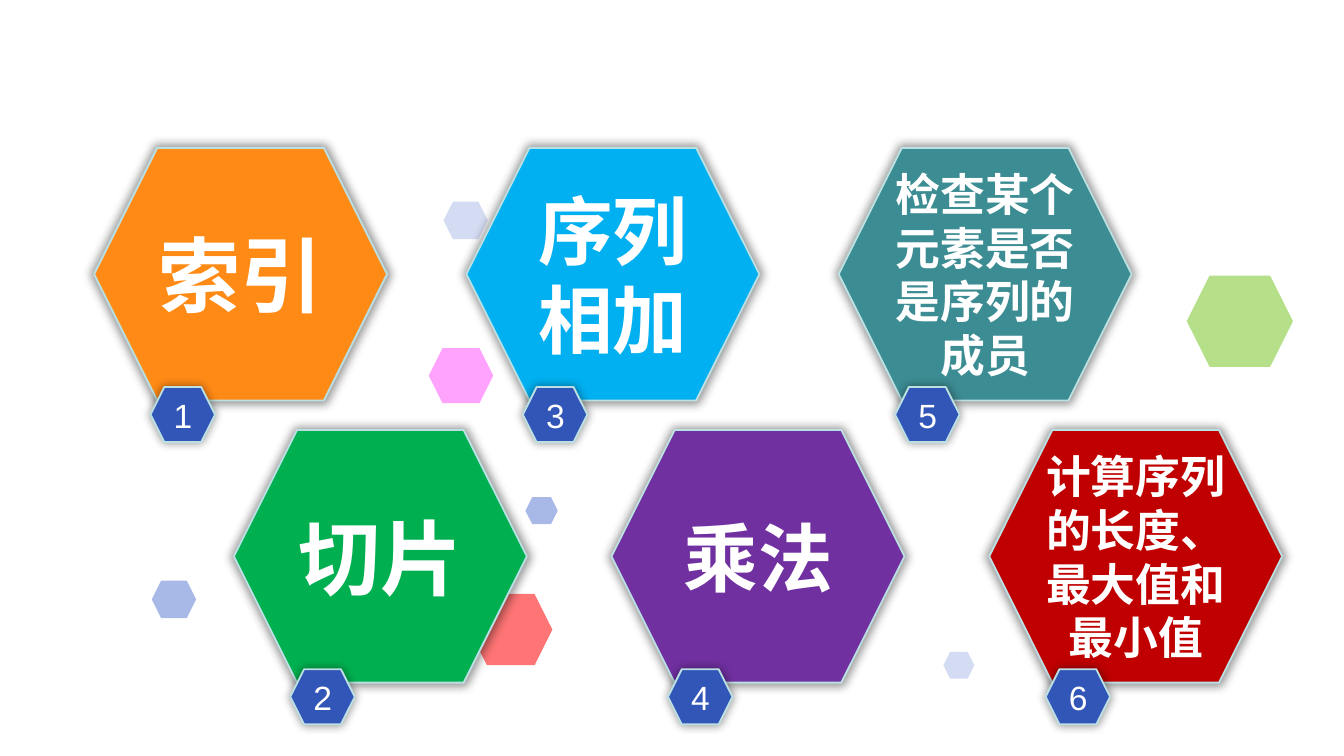
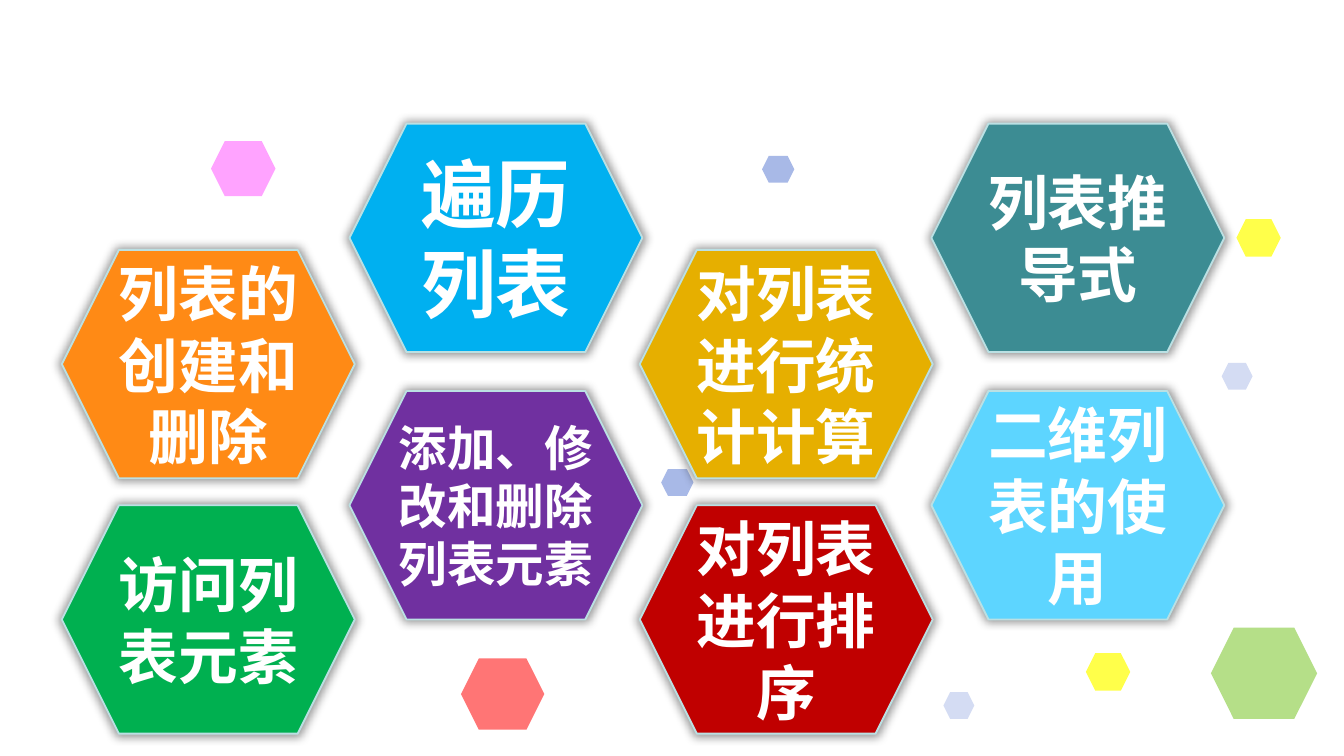
from dataclasses import dataclass
from typing import Optional

from lxml import etree
from pptx import Presentation
from pptx.dml.color import RGBColor
from pptx.enum.shapes import MSO_SHAPE
from pptx.enum.text import MSO_ANCHOR, PP_ALIGN
from pptx.oxml.ns import qn
from pptx.util import Inches, Pt

HEXAGON = MSO_SHAPE.HEXAGON
MIDDLE = MSO_ANCHOR.MIDDLE
CENTER = PP_ALIGN.CENTER

# Shared look
TILE_FONT = "Noto Sans CJK SC"
BADGE_FONT = "Arial"
WHITE = "FFFFFF"
OUTLINE = "BBE0E3"
BADGE_FILL = "3255B8"
ORANGE, GREEN, BLUE = "FF8A15", "00B050", "00B0F0"
PURPLE, TEAL, RED = "7030A0", "3C8C93", "C00000"
GOLD, SKY = "E6AF00", "5DD5FF"
TILE_WIDTH = 2.18
BADGE_SIZE = (0.48, 0.41)
BLANK_LAYOUT = 6


@dataclass(frozen=True)
class DotStyle:
    width: float
    height: float
    fill: str
    opacity: int = 100


@dataclass(frozen=True)
class Dot:
    left: float
    top: float
    style: DotStyle


@dataclass(frozen=True)
class Tile:
    left: float
    top: float
    text: str
    size: int
    fill: str
    number: Optional[int] = None


PINK_DOT = DotStyle(0.48, 0.41, "FF66FF", 60)
RED_DOT = DotStyle(0.62, 0.53, "FF0000", 54)
LIME_DOT = DotStyle(0.79, 0.68, "92D050", 68)
YELLOW_DOT = DotStyle(0.33, 0.28, "FFFF00", 71)
BLUE_DOT = DotStyle(0.33, 0.28, "A8B9E7")
PALE_DOT = DotStyle(0.33, 0.28, "D4DCF3")
SMALL_BLUE_DOT = DotStyle(0.24, 0.2, "A8B9E7")
SMALL_PALE_DOT = DotStyle(0.23, 0.2, "D4DCF3")

# Slide 1: sequence operations, numbered in a zigzag of two rows
OPERATION_HEIGHT = 1.88
OPERATION_ROWS = ((0.7, 1.1, 2.77), (1.74, 3.2, 2.81))  # left, top, step
OPERATIONS = [
    ("索引", 44, ORANGE),
    ("切片", 44, GREEN),
    ("序列相加", 40, BLUE),
    ("乘法", 40, PURPLE),
    ("检查某个元素是否是序列的成员", 24, TEAL),
    ("计算序列的长度、最大值和最小值", 24, RED),
]
OPERATION_DOTS = [
    Dot(3.19, 2.59, PINK_DOT),
    Dot(3.49, 4.42, RED_DOT),
    Dot(1.13, 4.32, BLUE_DOT),
    Dot(7.02, 4.85, SMALL_PALE_DOT),
    Dot(3.91, 3.7, SMALL_BLUE_DOT),
    Dot(3.3, 1.5, PALE_DOT),
    Dot(8.83, 2.05, LIME_DOT),
]

# Slide 2: list topics, two to a column, columns alternately low and high
TOPIC_HEIGHT = 1.7
TOPIC_LEFTS = (0.46, 2.6, 4.76, 6.93)
TOPIC_TOPS = ((1.86, 3.76), (0.92, 2.91))
TOPICS = [
    ("列表的创建和删除", 32, ORANGE),
    ("访问列表元素", 32, GREEN),
    ("遍历列表", 40, BLUE),
    ("添加、修改和删除列表元素", 26, PURPLE),
    ("对列表进行统计计算", 32, GOLD),
    ("对列表进行排序", 32, RED),
    ("列表推导式", 32, TEAL),
    ("二维列表的使用", 32, SKY),
]
TOPIC_DOTS = [
    Dot(4.92, 3.49, SMALL_BLUE_DOT),
    Dot(1.57, 1.05, PINK_DOT),
    Dot(3.43, 4.9, RED_DOT),
    Dot(1.13, 4.62, BLUE_DOT),
    Dot(7.02, 5.15, SMALL_PALE_DOT),
    Dot(5.67, 1.16, SMALL_BLUE_DOT),
    Dot(8.08, 4.86, YELLOW_DOT),
    Dot(9.01, 4.67, LIME_DOT),
    Dot(9.09, 2.7, SMALL_PALE_DOT),
    Dot(9.2, 1.63, YELLOW_DOT),
]


def rgb(value: str) -> RGBColor:
    return RGBColor.from_string(value)


def add_hexagon(shapes, left: float, top: float, width: float, height: float, fill: str):
    box = shapes.add_shape(HEXAGON, Inches(left), Inches(top), Inches(width), Inches(height))
    box.shadow.inherit = False
    box.fill.solid()
    box.fill.fore_color.rgb = rgb(fill)
    return box


def add_outline_and_glow(box) -> None:
    """Thin pale outline and a soft shadow on all sides."""
    box.line.color.rgb = rgb(OUTLINE)
    box.line.width = Pt(1)
    effects = box._element.spPr.find(qn("a:effectLst"))
    shadow = etree.SubElement(effects, qn("a:outerShdw"), blurRad=str(Pt(5)), dist="0", dir="0",
                              sx="102000", sy="102000", algn="ctr", rotWithShape="0")
    color = etree.SubElement(shadow, qn("a:srgbClr"), val="000000")
    etree.SubElement(color, qn("a:alpha"), val="40000")


def write_label(box, text: str, size: int, font: str, bold: bool) -> None:
    frame = box.text_frame
    frame.word_wrap = True
    frame.vertical_anchor = MIDDLE
    para = frame.paragraphs[0]
    para.text = text
    para.alignment = CENTER
    para.font.name = font
    para.font.size = Pt(size)
    para.font.bold = bold
    para.font.color.rgb = rgb(WHITE)
    # East Asian characters take their own typeface entry
    latin = para._p.pPr.find(qn("a:defRPr")).find(qn("a:latin"))
    latin.addnext(latin.makeelement(qn("a:ea"), {"typeface": font}))


def draw_dot(page, dot: Dot) -> None:
    style = dot.style
    box = add_hexagon(page.shapes, dot.left, dot.top, style.width, style.height, style.fill)
    box.line.fill.background()
    if style.opacity < 100:
        color = box._element.spPr.find(qn("a:solidFill"))[0]
        etree.SubElement(color, qn("a:alpha"), val=str(style.opacity * 1000))


def draw_tile(page, tile: Tile, height: float) -> None:
    numbered = tile.number is not None
    shapes = page.shapes.add_group_shape().shapes if numbered else page.shapes
    box = add_hexagon(shapes, tile.left, tile.top, TILE_WIDTH, height, tile.fill)
    add_outline_and_glow(box)
    box.text_frame.margin_left = box.text_frame.margin_right = 0
    write_label(box, tile.text, tile.size, TILE_FONT, True)
    if numbered:
        # Number badge over the lower left corner
        badge = add_hexagon(shapes, tile.left + 0.42, tile.top + height - 0.1,
                            *BADGE_SIZE, BADGE_FILL)
        add_outline_and_glow(badge)
        write_label(badge, str(tile.number), 18, BADGE_FONT, False)


def operation_tiles() -> list[Tile]:
    tiles = []
    for index, (text, size, fill) in enumerate(OPERATIONS):
        column, row = divmod(index, 2)
        left, top, step = OPERATION_ROWS[row]
        tiles.append(Tile(left + column * step, top, text, size, fill, index + 1))
    return tiles


def topic_tiles() -> list[Tile]:
    tiles = []
    for index, (text, size, fill) in enumerate(TOPICS):
        column, row = divmod(index, 2)
        tiles.append(Tile(TOPIC_LEFTS[column], TOPIC_TOPS[column % 2][row], text, size, fill))
    return tiles


def add_page(deck, dots: list[Dot], tiles: list[Tile], height: float) -> None:
    page = deck.slides.add_slide(deck.slide_layouts[BLANK_LAYOUT])
    for dot in dots:
        draw_dot(page, dot)
    for tile in tiles:
        draw_tile(page, tile, height)


def main() -> None:
    deck = Presentation()
    deck.slide_width = Inches(10)
    deck.slide_height = Inches(10) * 9 // 16
    add_page(deck, OPERATION_DOTS, operation_tiles(), OPERATION_HEIGHT)
    add_page(deck, TOPIC_DOTS, topic_tiles(), TOPIC_HEIGHT)
    deck.save("out.pptx")


if __name__ == "__main__":
    main()
